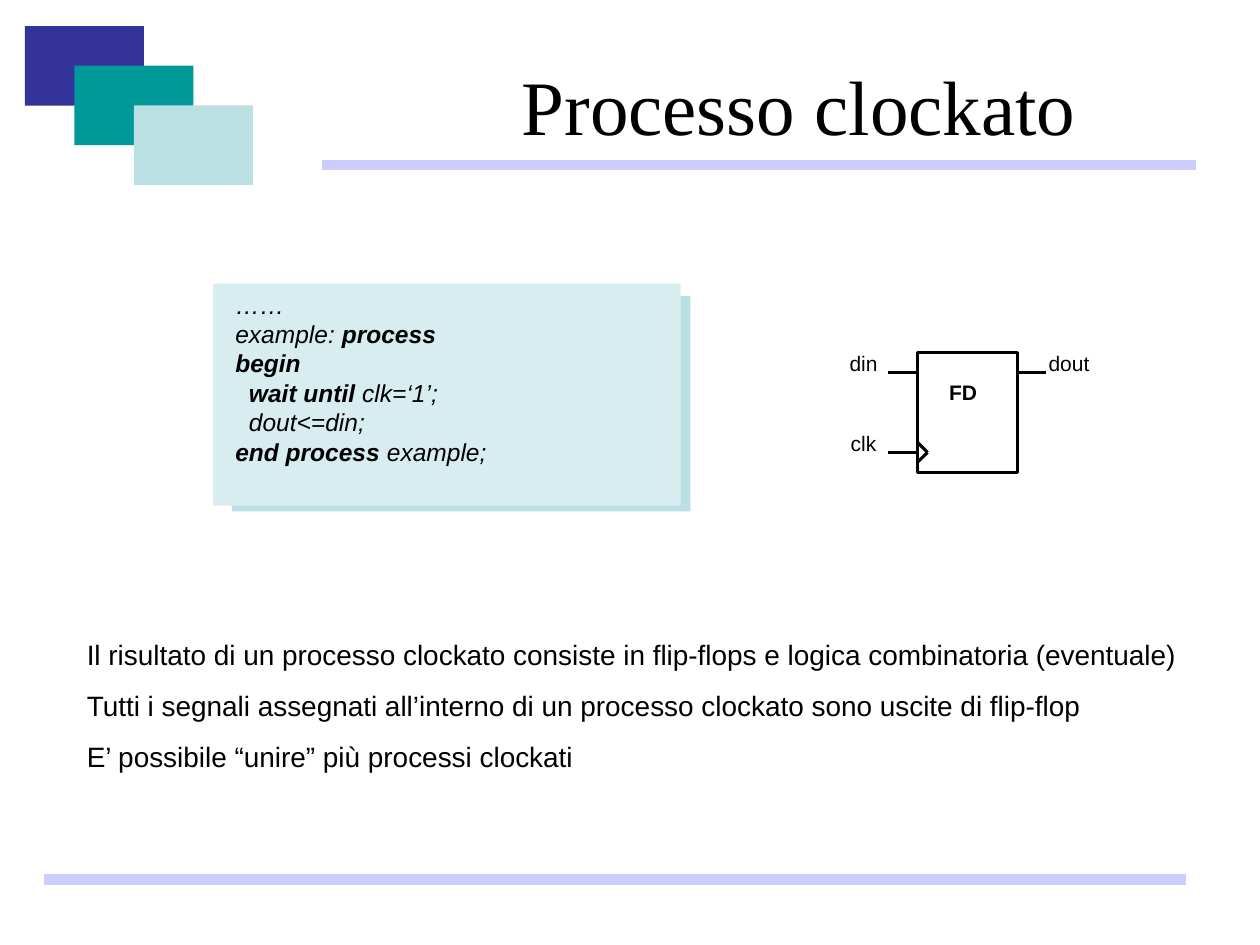
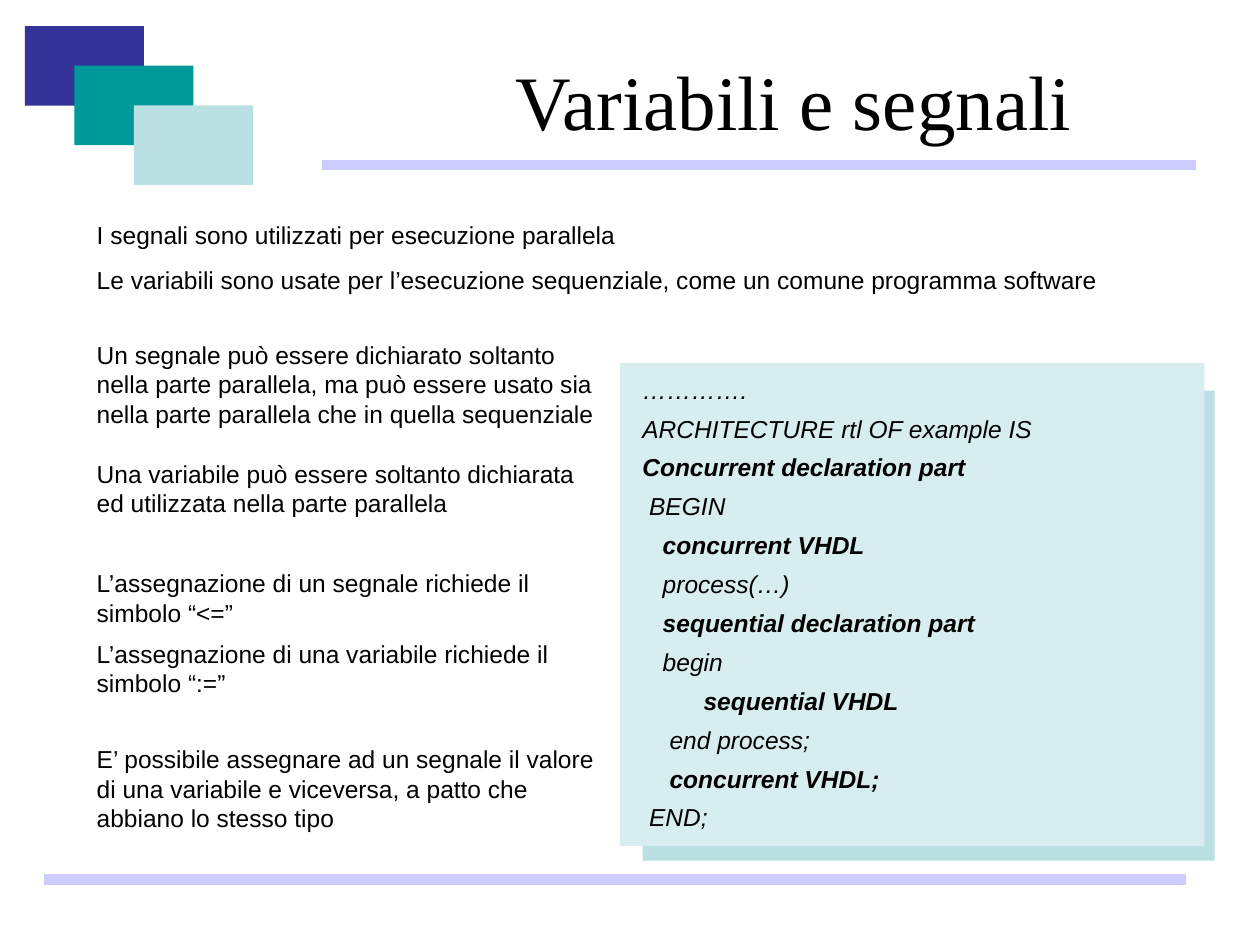
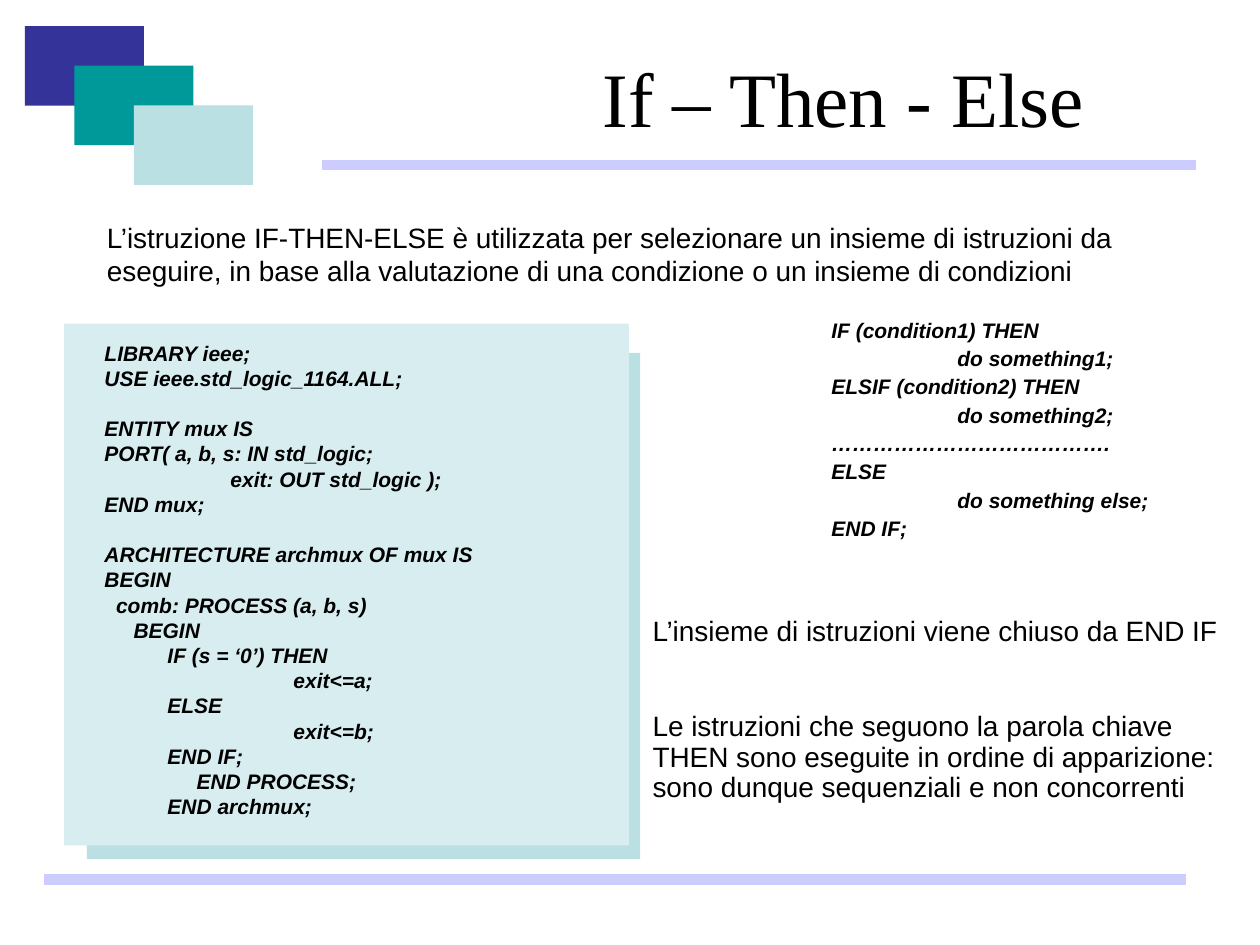
"""Build three slides on VHDL clocked processes, variables and conditionals."""
from dataclasses import dataclass
from typing import NamedTuple

from lxml.etree import SubElement
from pptx import Presentation
from pptx.dml.color import RGBColor
from pptx.enum.shapes import MSO_CONNECTOR, MSO_SHAPE
from pptx.enum.text import MSO_ANCHOR, MSO_AUTO_SIZE, PP_ALIGN
from pptx.oxml.ns import qn
from pptx.util import Pt


class Theme:
    ink = RGBColor(0x00, 0x00, 0x00)
    indigo = RGBColor(0x33, 0x33, 0x99)
    teal = RGBColor(0x00, 0x99, 0x99)
    aqua = RGBColor(0xBB, 0xE0, 0xE3)
    pale_aqua = RGBColor(0xD8, 0xED, 0xF0)
    lavender = RGBColor(0xCC, 0xCC, 0xFF)
    title_font, body_font = "Times New Roman", "Arial"
    title_size, large, medium, small = 44, 16, 14, 12
    band_width, wire_width = 6, 1.75
    tab_width = 72


class Line(NamedTuple):
    text: str
    gap: float = 0
    indent: float = 0


@dataclass
class Style:
    size: float
    font: str = Theme.body_font
    bold: bool = False
    italic: bool = False
    spacing: float = 1
    before: float = 0
    align: PP_ALIGN = PP_ALIGN.LEFT
    anchor: MSO_ANCHOR = MSO_ANCHOR.TOP


TITLE = Style(Theme.title_size, Theme.title_font, align=PP_ALIGN.CENTER, anchor=MSO_ANCHOR.MIDDLE)
LARGE_NOTE = Style(Theme.large, before=10)
TIGHT_NOTE = Style(Theme.large, before=10, spacing=0.9)
NOTE = Style(Theme.medium, before=8.8)
CODE = Style(Theme.medium, italic=True)
OUTLINE_CODE = Style(Theme.medium, italic=True, before=8.8, spacing=0.8)
BOLD_CODE = Style(Theme.small, bold=True, italic=True)
SYNTAX = Style(Theme.small, bold=True, italic=True, before=7.5, spacing=0.6)
PIN = Style(Theme.small, align=PP_ALIGN.CENTER)
PART = Style(Theme.small, bold=True, align=PP_ALIGN.CENTER)

BLANK_CODE_LINE = 14.4
BLANK_NOTE_LINE = 27.3
NESTED = 36

CORNER_SIZE = (68, 45.4)
CORNER_BLOCKS = [
    (14.2, 15, Theme.indigo),
    (42.5, 37.6, Theme.teal),
    (76.5, 60.3, Theme.aqua),
]
BANDS = [(184.3, 94.3, 683.3, 94.3), (25.4, 502.6, 677.6, 502.6)]

FLIP_FLOP = (524.2, 201.6, 57, 68.4)
WIRE_LENGTH = 16.7
DATA_Y, CLOCK_Y = 213.1, 258.5
CLOCK_NOTCH = 5.8
LABEL_SIZE = (41, 21.6)
FLIP_FLOP_LABELS = [
    ("din", 473, 196.6, PIN),
    ("dout", 590.4, 196.6, PIN),
    ("clk", 473, 242.6, PIN),
    ("FD", 529.9, 213.1, PART),
]

SLIDES = [
    {
        "title": ("Processo clockato", (212.4, 25.9, 488.2, 67.7)),
        "panel": [(132.5, 169.2, 262, 123.1), (121.8, 162, 267.1, 126.9)],
        "texts": [
            ((42.5, 360.7, 658, 85), LARGE_NOTE, [
                "Il risultato di un processo clockato consiste in flip-flops e logica combinatoria (eventuale)",
                "Tutti i segnali assegnati all’interno di un processo clockato sono uscite di flip-flop",
                "E’ possibile “unire” più processi clockati",
            ]),
            ((127.4, 162, 260.6, 108), CODE, [
                "……",
                "example: **process**",
                "**begin**",
                "  **wait until** clk=‘1’;",
                "  dout<=din;",
                "**end process** example;",
            ]),
        ],
        "flip_flop": True,
    },
    {
        "title": ("Variabili e segnali", (229.7, 25.9, 447.8, 62.6)),
        "panel": [(367.2, 223.2, 326.9, 268.6), (354.2, 207.4, 334.1, 276)],
        "texts": [
            ((360, 213.8, 329, 265), OUTLINE_CODE, [
                "………….",
                "ARCHITECTURE rtl OF example IS",
                "**Concurrent declaration part**",
                " BEGIN",
                "**   concurrent VHDL**",
                "   process(…)",
                "**   sequential declaration part**",
                "   begin",
                "**         sequential VHDL**",
                "    end process;",
                "**    concurrent VHDL;**",
                " END;",
            ]),
            ((48.2, 122.4, 646.6, 49.7), NOTE, [
                "I segnali sono utilizzati per esecuzione parallela",
                "Le variabili sono usate per l’esecuzione sequenziale, come un comune programma software",
            ]),
            ((48.2, 190.8, 300.2, 57.6), NOTE, [
                "Un segnale può essere dichiarato soltanto nella parte parallela, ma può essere "
                "usato sia nella parte parallela che in quella sequenziale",
            ]),
            ((48.2, 258.5, 300.2, 41), NOTE, [
                "Una variabile può essere soltanto dichiarata ed utilizzata nella parte parallela",
            ]),
            ((48.2, 321.1, 300.2, 41), NOTE, [
                "L’assegnazione di un segnale richiede il simbolo “<=”",
            ]),
            ((48.2, 361.4, 300.2, 41), NOTE, [
                "L’assegnazione di una variabile richiede il simbolo “:=”",
            ]),
            ((48.2, 421.9, 300.2, 57.6), NOTE, [
                "E’ possibile assegnare ad un segnale il valore di una variabile e viceversa, "
                "a patto che abbiano lo stesso tipo",
            ]),
        ],
    },
    {
        "title": ("If – Then - Else", (314.6, 21.6, 334.8, 67)),
        "panel": [(49.7, 201.6, 316.1, 289.4), (36.7, 185, 322.6, 298.1)],
        "texts": [
            ((54, 122.4, 640.8, 46), LARGE_NOTE, [
                "L’istruzione IF-THEN-ELSE è utilizzata per selezionare un insieme di istruzioni da "
                "eseguire, in base alla valutazione di una condizione o un insieme di condizioni",
            ]),
            ((365.8, 349.2, 342.7, 113.8), TIGHT_NOTE, [
                "L’insieme di istruzioni viene chiuso da END IF",
                Line("Le istruzioni che seguono la parola chiave THEN sono eseguite in ordine di "
                     "apparizione: sono dunque sequenziali e non concorrenti", gap=BLANK_NOTE_LINE),
            ]),
            ((52.6, 190.8, 301.7, 280.8), BOLD_CODE, [
                "LIBRARY ieee;",
                "USE ieee.std_logic_1164.ALL;",
                Line("ENTITY mux IS", gap=BLANK_CODE_LINE),
                "PORT( a, b, s: IN std_logic;",
                "\texit: OUT std_logic );",
                "END mux;",
                Line("ARCHITECTURE archmux OF mux IS", gap=BLANK_CODE_LINE),
                "BEGIN",
                "  comb: PROCESS (a, b, s)",
                "     BEGIN",
                Line("IF (s = ‘0’) THEN", indent=NESTED),
                Line("\texit<=a;", indent=NESTED),
                Line("ELSE", indent=NESTED),
                Line("\texit<=b;", indent=NESTED),
                Line("END IF;", indent=NESTED),
                Line("     END PROCESS;", indent=NESTED),
                Line("END archmux;", indent=NESTED),
            ]),
            ((468, 182.9, 209.5, 128.9), SYNTAX, [
                "IF (condition1) THEN",
                "\tdo something1;",
                "ELSIF (condition2) THEN",
                "\tdo something2;",
                "………………………………….",
                "ELSE",
                "\tdo something else;",
                "END IF;",
            ]),
        ],
    },
]


def points(values):
    return [Pt(value) for value in values]


def add_rectangle(slide, box, fill=None):
    shape = slide.shapes.add_shape(MSO_SHAPE.RECTANGLE, *points(box))
    shape.shadow.inherit = False
    if fill is None:
        shape.fill.background()
        shape.line.color.rgb = Theme.ink
        shape.line.width = Pt(Theme.wire_width)
    else:
        shape.fill.solid()
        shape.fill.fore_color.rgb = fill
        shape.line.fill.background()


def add_line(slide, ends, color, width):
    connector = slide.shapes.add_connector(MSO_CONNECTOR.STRAIGHT, *points(ends))
    connector.line.color.rgb = color
    connector.line.width = Pt(width)
    SubElement(connector._element.spPr, qn("a:effectLst"))


def fill_paragraph(paragraph, line, style, is_first):
    properties = paragraph._p.get_or_add_pPr()
    if line.indent:
        properties.set("marL", str(Pt(line.indent)))
    if "\t" in line.text:
        tabs = SubElement(properties, qn("a:tabLst"))
        SubElement(tabs, qn("a:tab"), pos=str(Pt(Theme.tab_width)), algn="l")
    paragraph.alignment = style.align
    paragraph.line_spacing = style.spacing
    paragraph.space_before = Pt(0 if is_first else style.before + line.gap)
    font = paragraph.font
    font.name, font.size = style.font, Pt(style.size)
    font.bold, font.italic = style.bold, style.italic
    font.color.rgb = Theme.ink
    for index, part in enumerate(line.text.split("**")):
        if part:
            run = paragraph.add_run()
            run.text = part
            if index % 2:
                run.font.bold = True


def add_text(slide, box, style, lines):
    frame = slide.shapes.add_textbox(*points(box)).text_frame
    frame.word_wrap = True
    frame.auto_size = MSO_AUTO_SIZE.NONE
    frame.vertical_anchor = style.anchor
    for index, entry in enumerate(lines):
        line = entry if isinstance(entry, Line) else Line(entry)
        paragraph = frame.add_paragraph() if index else frame.paragraphs[0]
        fill_paragraph(paragraph, line, style, index == 0)


def add_frame(slide, title, box):
    add_text(slide, box, TITLE, [title])
    for left, top, color in CORNER_BLOCKS:
        add_rectangle(slide, (left, top, *CORNER_SIZE), color)
    for ends in BANDS:
        add_line(slide, ends, Theme.lavender, Theme.band_width)


def add_flip_flop(slide):
    add_rectangle(slide, FLIP_FLOP)
    left, _, width, _ = FLIP_FLOP
    right, tip = left + width, left + CLOCK_NOTCH
    wires = [
        (left, CLOCK_Y + CLOCK_NOTCH, tip, CLOCK_Y),
        (tip, CLOCK_Y, left, CLOCK_Y - CLOCK_NOTCH),
        (left, CLOCK_Y, left - WIRE_LENGTH, CLOCK_Y),
        (left, DATA_Y, left - WIRE_LENGTH, DATA_Y),
        (right, DATA_Y, right + WIRE_LENGTH, DATA_Y),
    ]
    for ends in wires:
        add_line(slide, ends, Theme.ink, Theme.wire_width)
    for text, label_left, label_top, style in FLIP_FLOP_LABELS:
        add_text(slide, (label_left, label_top, *LABEL_SIZE), style, [text])


def main():
    presentation = Presentation()
    presentation.slide_width, presentation.slide_height = Pt(720), Pt(540)
    for content in SLIDES:
        slide = presentation.slides.add_slide(presentation.slide_layouts[6])
        add_frame(slide, *content["title"])
        for box, color in zip(content["panel"], (Theme.aqua, Theme.pale_aqua)):
            add_rectangle(slide, box, color)
        for box, style, lines in content["texts"]:
            add_text(slide, box, style, lines)
        if content.get("flip_flop"):
            add_flip_flop(slide)
    presentation.save("out.pptx")


if __name__ == "__main__":
    main()
